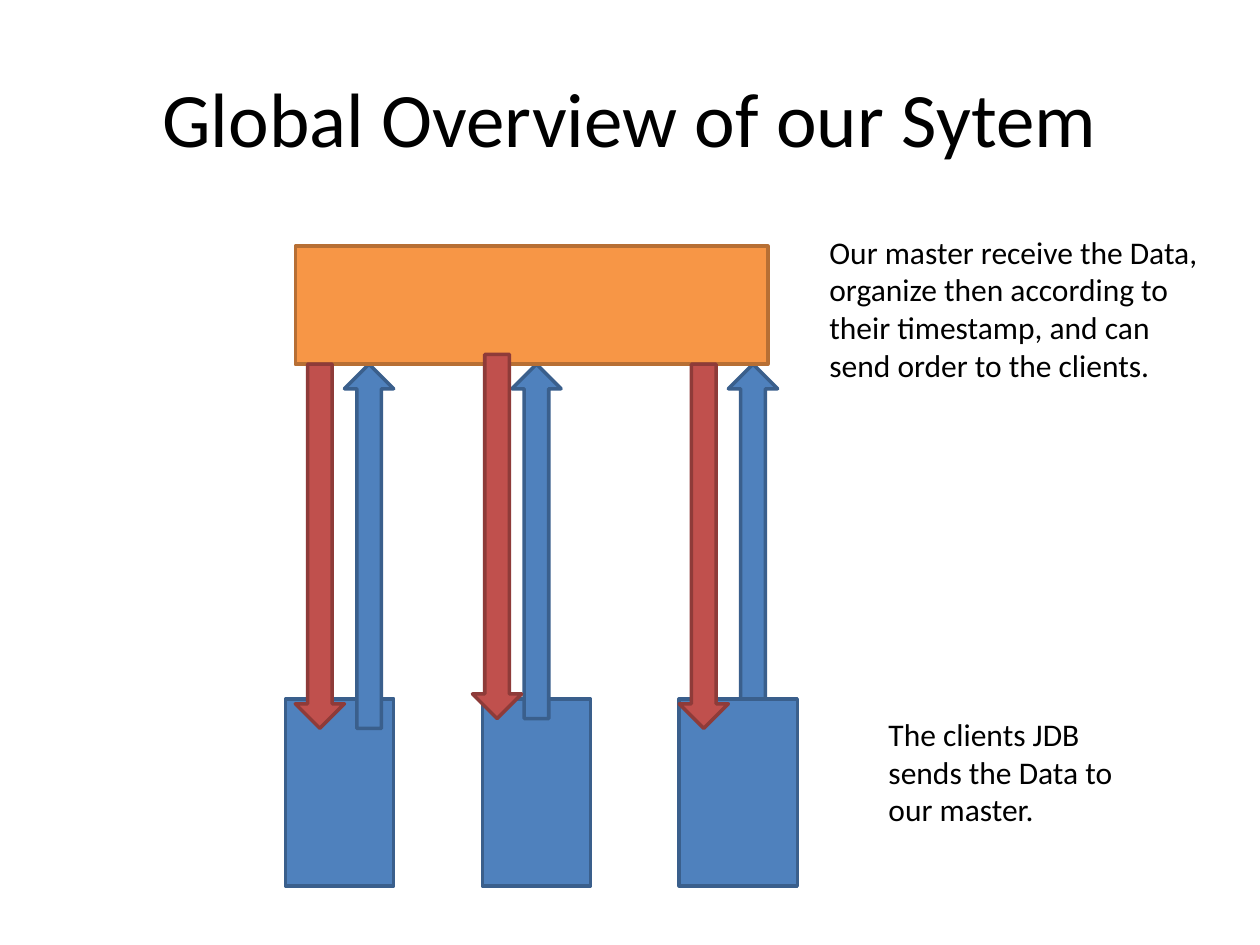
"""Builds the system overview slide: a master exchanging data with three clients."""
import pptx
import pptx.util
import pptx.dml.color
import pptx.enum.shapes
import pptx.enum.text

prs = pptx.Presentation()
prs.slide_width = pptx.util.Inches(10)
prs.slide_height = pptx.util.Inches(7.5)
W, H = prs.slide_width, prs.slide_height
CELL = W // 128
MSO = pptx.enum.shapes.MSO_SHAPE
ALIGN = pptx.enum.text.PP_ALIGN
ANCHOR = pptx.enum.text.MSO_ANCHOR
BLUE, RED, ORANGE = ("4F81BD", "3A5F8C"), ("C0504D", "8E3B39"), ("F79646", "B76F34")
rgb = pptx.dml.color.RGBColor.from_string


def write(sp, text, size=18, align=ALIGN.LEFT, anchor=ANCHOR.TOP, color="000000"):
    tf = sp.text_frame
    tf.word_wrap = True
    tf.vertical_anchor = anchor
    p = tf.paragraphs[0]
    p.alignment = align
    r = p.add_run()
    r.text = text
    r.font.name = "Calibri"
    r.font.size = pptx.util.Pt(size)
    r.font.color.rgb = rgb(color)


def block(kind, col, row, cols, rows, colors):
    sp = s.shapes.add_shape(kind, col * CELL, row * CELL, cols * CELL, rows * CELL)
    sp.shadow.inherit = False
    sp.fill.solid()
    sp.fill.fore_color.rgb = rgb(colors[0])
    sp.line.color.rgb = rgb(colors[1])
    sp.line.width = pptx.util.Pt(2)


s = prs.slides.add_slide(prs.slide_layouts[5])
title = s.shapes.title
title.left, title.top = int(W * 0.05), int(H * 0.04)
title.width, title.height = int(W * 0.9), H // 6
write(title, "Global Overview of our Sytem", size=44, align=ALIGN.CENTER, anchor=ANCHOR.MIDDLE)

for col, cols in [(29, 11), (49, 11), (69, 12)]:
    block(MSO.RECTANGLE, col, 71, cols, 19, BLUE)
for col, rows in [(35, 37), (52, 36), (74, 34)]:
    block(MSO.UP_ARROW, col, 37, 5, rows, BLUE)
block(MSO.RECTANGLE, 30, 25, 48, 12, ORANGE)

for text, col, row, cols, rows in [
    ("The clients JDB sends the Data to our master.", 89, 72, 29, 13),
    ("Our master receive the Data, organize then according to their timestamp, "
     "and can send order to the clients.", 83, 23, 40, 21),
]:
    write(s.shapes.add_textbox(col * CELL, row * CELL, cols * CELL, rows * CELL), text)

for col, row in [(30, 37), (48, 36), (69, 37)]:
    block(MSO.DOWN_ARROW, col, row, 5, 37, RED)

prs.save("out.pptx")
